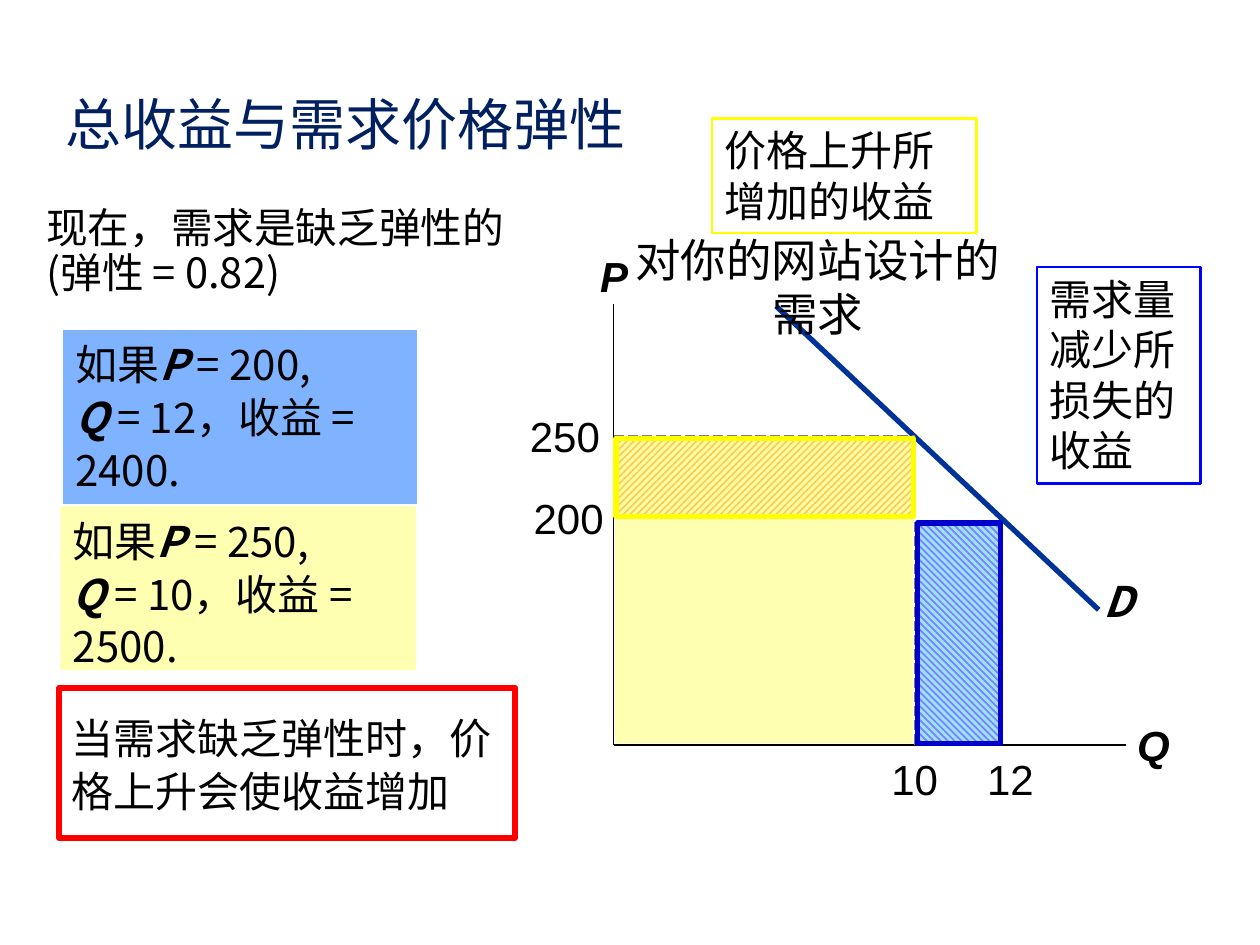
from lxml import etree
from pptx import Presentation
from pptx.dml.color import RGBColor
from pptx.enum.dml import MSO_LINE, MSO_PATTERN
from pptx.enum.shapes import MSO_CONNECTOR, MSO_SHAPE
from pptx.enum.text import MSO_ANCHOR, PP_ALIGN
from pptx.oxml.ns import qn
from pptx.util import Inches, Pt

STRAIGHT = MSO_CONNECTOR.STRAIGHT
RECTANGLE = MSO_SHAPE.RECTANGLE
LONG_DASH = MSO_LINE.LONG_DASH
DOWN_HATCH = MSO_PATTERN.WIDE_DOWNWARD_DIAGONAL
UP_HATCH = MSO_PATTERN.WIDE_UPWARD_DIAGONAL
LEFT, CENTER, RIGHT = PP_ALIGN.LEFT, PP_ALIGN.CENTER, PP_ALIGN.RIGHT
TOP, MIDDLE = MSO_ANCHOR.TOP, MSO_ANCHOR.MIDDLE

BLACK = RGBColor(0x00, 0x00, 0x00)
WHITE = RGBColor(0xFF, 0xFF, 0xFF)
NAVY = RGBColor(0x00, 0x20, 0x60)
DEMAND_BLUE = RGBColor(0x00, 0x33, 0x99)
GUIDE_GRAY = RGBColor(0x77, 0x77, 0x77)
REVENUE_YELLOW = RGBColor(0xFF, 0xFF, 0x66)
REVENUE_BLUE = RGBColor(0x00, 0x66, 0xFF)
YELLOW = RGBColor(0xFF, 0xFF, 0x00)
PALE_YELLOW = RGBColor(0xFF, 0xFF, 0x99)
ORANGE = RGBColor(0xFF, 0x99, 0x00)
BLUE = RGBColor(0x00, 0x00, 0xFF)
LOSS_BLUE = RGBColor(0x00, 0x00, 0xCC)
SKY = RGBColor(0x33, 0xCC, 0xFF)
RED = RGBColor(0xFF, 0x00, 0x00)

LATIN = "Arial"
CJK = "Noto Sans CJK SC"
COLUMNS, ROWS = 100, 75


class SlideBuilder:
    def __init__(self, deck):
        self.slide = deck.slides.add_slide(deck.slide_layouts[5])
        self.shapes = self.slide.shapes
        self.column = deck.slide_width / COLUMNS
        self.row = deck.slide_height / ROWS

    def place(self, x, y, width, height):
        return (round(x * self.column), round(y * self.row),
                round(width * self.column), round(height * self.row))

    def set_text(self, frame, parts, size=24, font=CJK, color=BLACK,
                 align=LEFT, anchor=TOP, spacing=1, emphasis=False):
        frame.word_wrap = True
        frame.vertical_anchor = anchor
        paragraph = frame.paragraphs[0]
        paragraph.alignment = align
        paragraph.line_spacing = spacing
        style = paragraph.font
        style.size, style.name, style.color.rgb = Pt(size), font, color
        style.bold = style.italic = emphasis
        latin = paragraph._p.pPr.find(qn("a:defRPr")).find(qn("a:latin"))
        east_asian = etree.Element(qn("a:ea"), typeface=font)
        latin.addnext(east_asian)
        for part in parts:
            if part == "\n":
                paragraph.add_line_break()
                continue
            run = paragraph.add_run()
            run.text = part.strip("*")
            if part.startswith("*"):
                run.font.bold = run.font.italic = True

    def title(self, text, area):
        heading = self.shapes.title
        heading.left, heading.top, heading.width, heading.height = self.place(*area)
        self.set_text(heading.text_frame, [text], 32, color=NAVY, anchor=MIDDLE)

    def label(self, parts, area, **style):
        box = self.shapes.add_textbox(*self.place(*area))
        self.set_text(box.text_frame, parts, **style)

    def panel(self, area, fill=None, hatch=None, opacity=100,
              outline=None, weight=1.5, parts=(), **style):
        box = self.shapes.add_shape(RECTANGLE, *self.place(*area))
        box.shadow.inherit = False
        if hatch:
            box.fill.patterned()
            box.fill.pattern, box.fill.fore_color.rgb, box.fill.back_color.rgb = hatch
        elif fill is not None:
            box.fill.solid()
            box.fill.fore_color.rgb = fill
        else:
            box.fill.background()
        if opacity < 100:
            for color in box._element.spPr.findall(".//" + qn("a:srgbClr")):
                etree.SubElement(color, qn("a:alpha"), val=str(opacity * 1000))
        if outline is None:
            box.line.fill.background()
        else:
            box.line.color.rgb, box.line.width = outline, Pt(weight)
        if parts:
            self.set_text(box.text_frame, parts, **style)

    def line(self, start, end, color=BLACK, weight=1, dash=None):
        ends = self.place(*start, *end)
        connector = self.shapes.add_connector(STRAIGHT, *ends)
        connector.line.color.rgb, connector.line.width = color, Pt(weight)
        if dash:
            connector.line.dash_style = dash
        etree.SubElement(connector._element.spPr, qn("a:effectLst"))


def main():
    deck = Presentation()
    deck.slide_width, deck.slide_height = Inches(10), Inches(7.5)
    page = SlideBuilder(deck)
    page.title("总收益与需求价格弹性", (4.2, 6, 74.6, 7.5))

    origin_x, origin_y = 48.7, 59.1
    high_price, low_quantity = 34.6, 72.6
    page.line((origin_x, 24.1), (origin_x, origin_y))
    page.line((origin_x, origin_y), (89.4, origin_y))
    page.line((61.6, 24.3), (87.2, 48.4), DEMAND_BLUE, 3)
    for name, font, area in (("P", LATIN, (46, 19.4, 5.5, 5)),
                             ("Q", LATIN, (88.4, 56.6, 6.3, 5.1)),
                             ("D", CJK, (85.2, 45.2, 7.2, 5))):
        page.label([name], area, font=font, align=CENTER, emphasis=True)
    for price, x, y in (("250", 38.9, 32.1), ("200", 39.2, 38.6)):
        page.label([price], (x, y, 9.7, 5), font=LATIN, align=RIGHT)
    for quantity, x in (("10", 69.4), ("12", 77)):
        page.label([quantity], (x, 59.3, 6.4, 5), font=LATIN, align=CENTER)

    corner = (low_quantity, high_price)
    for end in ((origin_x, high_price), (low_quantity, origin_y)):
        page.line(end, corner, GUIDE_GRAY, 0.75, LONG_DASH)
    page.panel((48.8, high_price, 23.7, 24.4), REVENUE_YELLOW, opacity=50)
    page.panel((72.8, 41.5, 6.6, 17.5), hatch=(DOWN_HATCH, BLUE, SKY),
               opacity=50, outline=LOSS_BLUE, weight=3)
    page.panel((48.9, 34.8, 23.6, 6.2), hatch=(UP_HATCH, ORANGE, PALE_YELLOW),
               opacity=50, outline=YELLOW, weight=3)

    page.panel((82.3, 21.2, 13, 17.2), outline=BLUE,
               parts=["需求量减少所损失的收益"])
    page.panel((56.5, 9.4, 21, 9.1), WHITE, outline=YELLOW,
               parts=["价格上升所增加的收益"])
    page.label(["对你的网站设计的需求"], (48.5, 17.9, 32.8, 9.8),
               size=26, align=CENTER)

    page.label(["现在，需求是缺乏弹性的", "\n", "(弹性 = 0.82)"],
               (2.7, 16, 40, 10), size=23.8, spacing=0.9)
    for area, color, price, quantity, revenue in (
            ((5, 26.2, 28.1, 13.8), REVENUE_BLUE, 200, 12, 2400),
            ((4.8, 40.2, 28.2, 13), REVENUE_YELLOW, 250, 10, 2500)):
        page.panel(area, color, opacity=50, spacing=1.05,
                   parts=["如果", "*P ", f"= {price}, ", "\n", "*Q",
                          f" = {quantity}，收益 = {revenue}."])
    page.panel((4.7, 54.6, 36.2, 11.9), outline=RED, weight=3.5,
               parts=["当需求缺乏弹性时，价格上升会使收益增加"],
               anchor=MIDDLE, spacing=1.05)
    deck.save("out.pptx")


if __name__ == "__main__":
    main()
